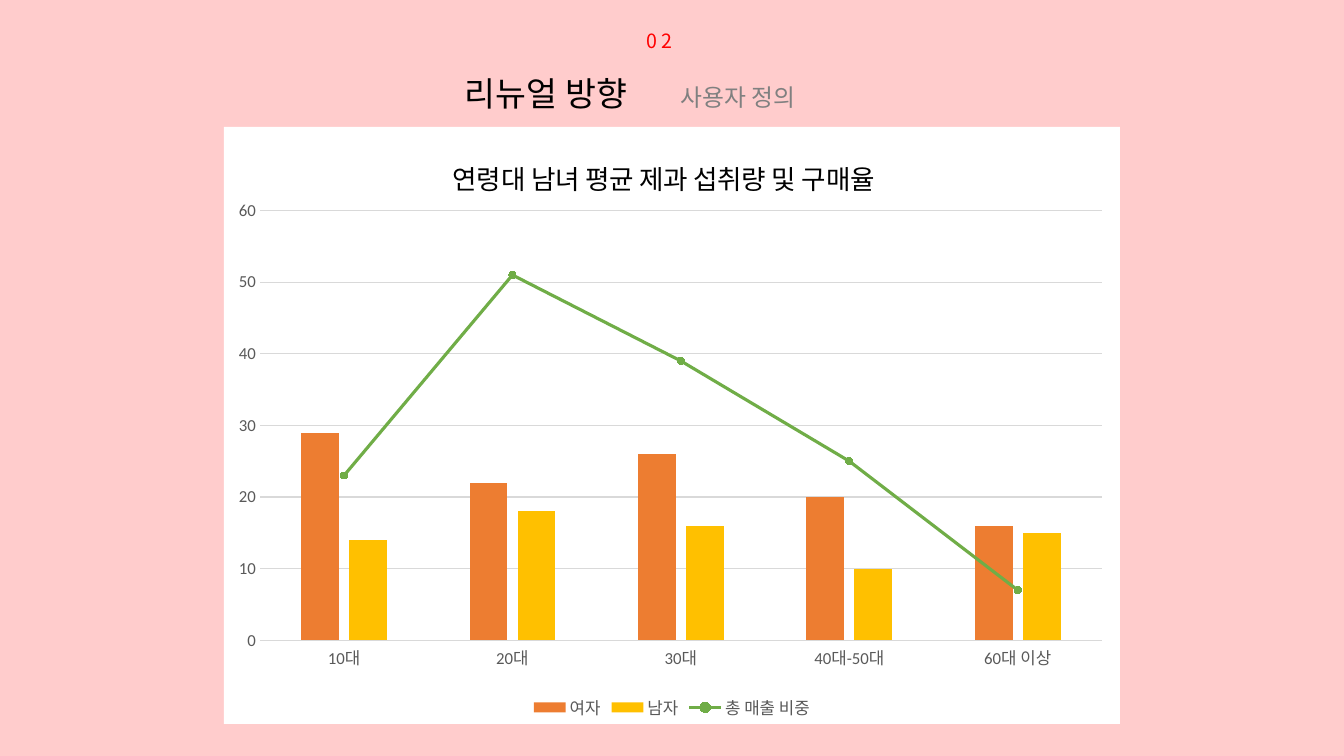
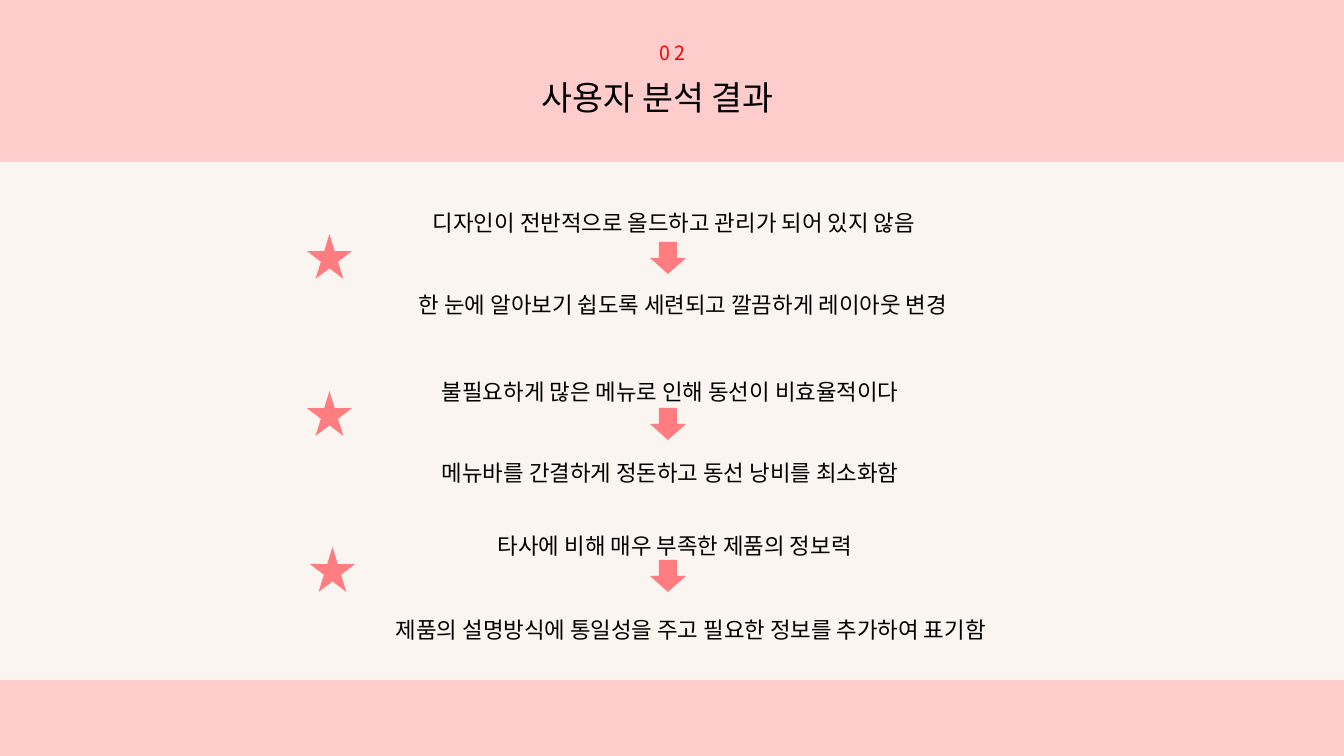
from lxml import etree
from pptx import Presentation
from pptx import util as u
from pptx.chart.data import CategoryChartData
from pptx.dml.color import RGBColor
from pptx.enum import chart as charts, shapes, text
from pptx.oxml import parse_xml
from pptx.oxml.ns import nsdecls, qn

PX = 914400 / 100.8
PINK, CREAM, CORAL = "FFCCCC", "FAF5F0", "FF7C80"
BLACK, RED, GRAY, WHITE = "000000", "FF0000", "808080", "FFFFFF"
AXIS_TEXT, GRID = "595959", "D9D9D9"
KOREAN = "Noto Sans CJK KR"
NUMBER_STYLE = {"size": 14, "color": RED, "tracking": 300}
TITLE_STYLE = {"size": 24}


def color_of(value):
    return RGBColor.from_string(value)


def add_text(page, place, words, size, color=BLACK, tracking=0, spacing=None):
    """Add a text box; place is left, top, width, height in px."""
    box = page.shapes.add_textbox(*(round(n * PX) for n in place))
    frame = box.text_frame
    frame.word_wrap = True
    frame.auto_size = text.MSO_AUTO_SIZE.SHAPE_TO_FIT_TEXT
    para = frame.paragraphs[0]
    para.text = words
    para.line_spacing = spacing
    font = para.font
    font.size, font.name = u.Pt(size), KOREAN
    font.color.rgb = color_of(color)
    font._rPr.find(qn("a:latin")).addnext(
        parse_xml(f'<a:ea {nsdecls("a")} typeface="{KOREAN}"/>'))
    if tracking:
        font._rPr.set("spc", str(tracking))


deck = Presentation()
deck.slide_width, deck.slide_height = round(1344 * PX), round(756 * PX)
pages = [deck.slides.add_slide(deck.slide_layouts[6]) for _ in range(2)]
for page in pages:
    page.background.fill.solid()
    page.background.fill.fore_color.rgb = color_of(PINK)
chart_page, result_page = pages

# Slide 1: consumption by age group
data = CategoryChartData()
data.categories = ["10대", "20대", "30대", "40대-50대", "60대 이상"]
data.add_series("여자", (29, 22, 26, 20, 16))
data.add_series("남자", (14, 18, 16, 10, 15))
data.add_series("총 매출 비중", (23, 51, 39, 25, 7))
chart = chart_page.shapes.add_chart(
    charts.XL_CHART_TYPE.COLUMN_CLUSTERED,
    *(round(n * PX) for n in (224, 127, 896, 597)), data).chart
chart.font.name, chart.font.size = "Calibri", u.Pt(12)
chart.font.color.rgb = color_of(AXIS_TEXT)

# The third series becomes a line on the same axes
bars = chart.plots[0]
bar_xml = bars._element
line_xml = parse_xml(
    f'<c:lineChart {nsdecls("c")}><c:grouping val="standard"/>'
    '<c:varyColors val="0"/><c:marker val="1"/></c:lineChart>')
share_xml = bar_xml.findall(qn("c:ser"))[2]
for bar_only in share_xml.findall(qn("c:invertIfNegative")):
    share_xml.remove(bar_only)
line_xml.insert(2, share_xml)
for axis_id in bar_xml.findall(qn("c:axId")):
    etree.SubElement(line_xml, qn("c:axId")).set("val", axis_id.get("val"))
bar_xml.addnext(line_xml)

bars.gap_width, bars.overlap, bars.vary_by_categories = 219, -27, False
for series, color in zip(bars.series, ("ED7D31", "FFC000")):
    series.format.fill.solid()
    series.format.fill.fore_color.rgb = color_of(color)
share = chart.plots[1].series[0]
share.smooth = False
share.format.line.width = u.Pt(2.25)
share.marker.style, share.marker.size = charts.XL_MARKER_STYLE.CIRCLE, 5
share.marker.format.fill.solid()
for paint in (share.format.line.color, share.marker.format.fill.fore_color,
              share.marker.format.line.color):
    paint.rgb = color_of("70AD47")

ages, amounts = chart.category_axis, chart.value_axis
for axis in (ages, amounts):
    axis.major_tick_mark = axis.minor_tick_mark = charts.XL_TICK_MARK.NONE
amounts.minimum_scale, amounts.maximum_scale, amounts.major_unit = 0, 60, 10
amounts.format.line.fill.background()
for line in (ages.format.line, amounts.major_gridlines.format.line):
    line.color.rgb, line.width = color_of(GRID), u.Pt(0.75)
chart.has_legend = True
chart.legend.position = charts.XL_LEGEND_POSITION.BOTTOM
chart.legend.include_in_layout = False

chart.has_title = True
heading = chart.chart_title.text_frame.paragraphs[0]
heading.text = "연령대 남녀 평균 제과 섭취량 및 구매율"
heading.font.size, heading.font.bold, heading.font.name = u.Pt(19), False, KOREAN
heading.font.color.rgb = color_of(BLACK)

title_xml = chart.chart_title._element
plot_xml = bar_xml.getparent()
for parent, index, target, place in (
        (title_xml, 1, "", {"x": 0.25, "y": 0.04}),
        (plot_xml, 0, '<c:layoutTarget val="inner"/>',
         {"x": 0.04, "y": 0.14, "w": 0.94, "h": 0.72})):
    for old in parent.findall(qn("c:layout")):
        parent.remove(old)
    modes = '<c:xMode val="edge"/><c:yMode val="edge"/>'
    sizes = "".join(f'<c:{key} val="{value}"/>' for key, value in place.items())
    parent.insert(index, parse_xml(
        f'<c:layout {nsdecls("c")}><c:manualLayout>{target}{modes}{sizes}'
        '</c:manualLayout></c:layout>'))
plot_xml.getparent().addnext(parse_xml(
    f'<c:spPr {nsdecls("c", "a")}><a:solidFill><a:srgbClr val="{WHITE}"/>'
    '</a:solidFill><a:ln><a:noFill/></a:ln></c:spPr>'))

add_text(chart_page, (455, 68, 276, 50), "리뉴얼 방향", **TITLE_STYLE)
add_text(chart_page, (637, 24, 94, 34), "02", **NUMBER_STYLE)
add_text(chart_page, (671, 78, 215, 39), "사용자 정의", 17, GRAY)

# Slide 2: problems, each with an arrow to its remedy
STAR, ARROW = shapes.MSO_SHAPE.STAR_5_POINT, shapes.MSO_SHAPE.DOWN_ARROW
figures = [(shapes.MSO_SHAPE.RECTANGLE, CREAM, (0, 162, 1344, 518))]
figures += [(STAR, CORAL, (left, top, 45, 45))
            for left, top in ((307, 234), (307, 391), (310, 547))]
figures += [(ARROW, CORAL, (650, top, 36, 32)) for top in (242, 408, 560)]
for kind, color, place in figures:
    figure = result_page.shapes.add_shape(kind, *(round(n * PX) for n in place))
    figure.shadow.inherit = False
    figure.fill.solid()
    figure.fill.fore_color.rgb = color_of(color)
    figure.line.fill.background()

add_text(result_page, (532, 72, 301, 50), "사용자 분석 결과", **TITLE_STYLE)
add_text(result_page, (650, 36, 94, 34), "02", **NUMBER_STYLE)
for left, top, width, words in (
        (423, 177, 691, "디자인이 전반적으로 올드하고 관리가 되어 있지 않음"),
        (409, 259, 691, "한 눈에 알아보기 쉽도록 세련되고 깔끔하게 레이아웃 변경"),
        (432, 346, 691, "불필요하게 많은 메뉴로 인해 동선이 비효율적이다"),
        (432, 427, 691, "메뉴바를 간결하게 정돈하고 동선 낭비를 최소화함"),
        (488, 500, 691, "타사에 비해 매우 부족한 제품의 정보력"),
        (386, 584, 786, "제품의 설명방식에 통일성을 주고 필요한 정보를 추가하여 표기함")):
    add_text(result_page, (left, top, width, 56), words, 16, spacing=2.0)

deck.save("out.pptx")
